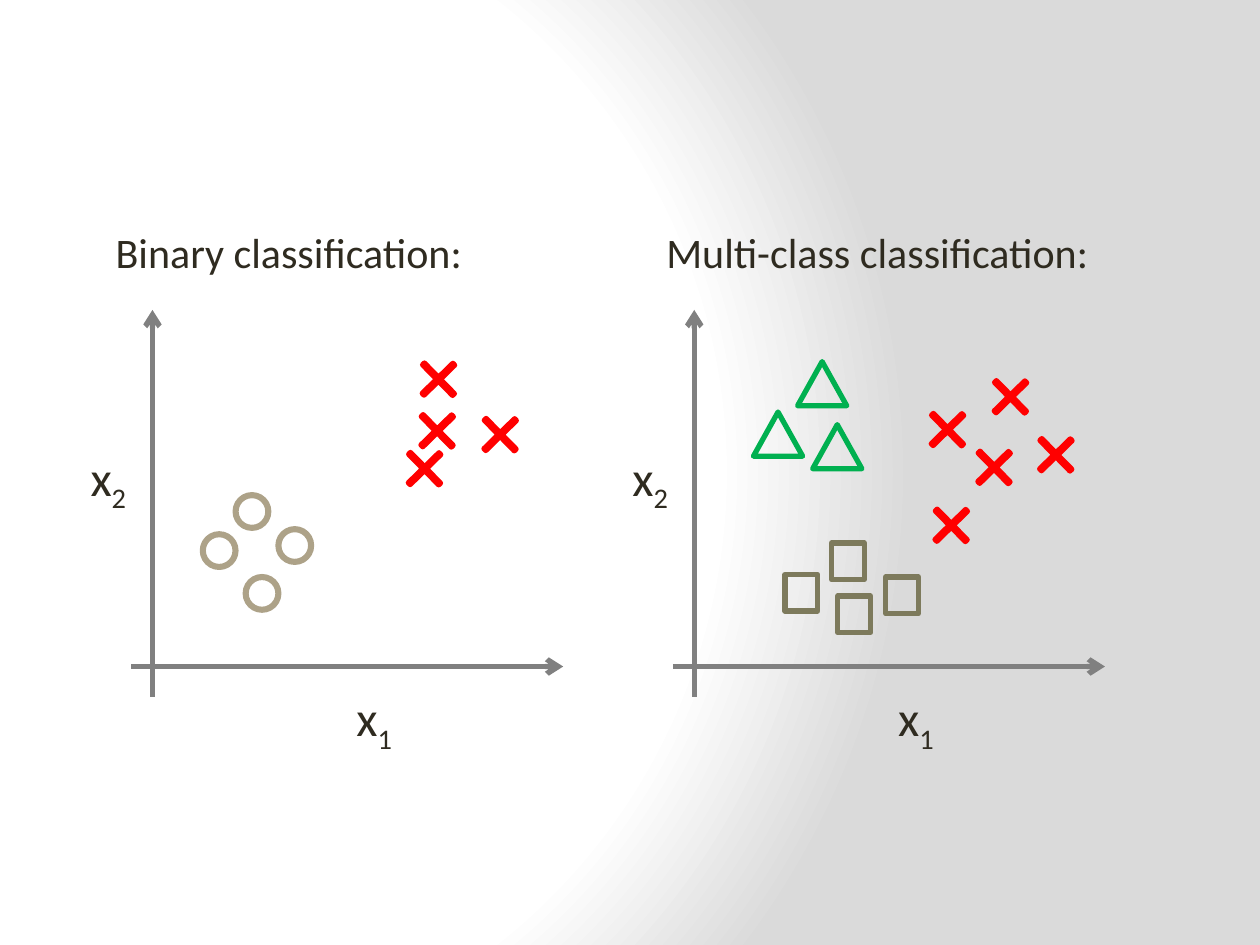
import pptx
import pptx.util
import pptx.oxml
import pptx.oxml.ns
import pptx.dml.color
import pptx.enum.shapes
import pptx.enum.text
from dataclasses import dataclass
from lxml import etree

SHAPE = pptx.enum.shapes.MSO_SHAPE
qn = pptx.oxml.ns.qn


@dataclass(frozen=True)
class Theme:
    font: str = "Calibri"
    text: str = "2F2B20"
    axis: str = "808080"
    circle: str = "ADA288"
    cross: str = "FF0000"
    square: str = "7D7A5C"
    triangle: str = "00B050"
    paper: str = "FFFFFF"
    shade: str = "DADADA"
    heading_size: int = 24
    label_size: int = 28
    line_width: float = 3
    circle_width: float = 3.5


THEME = Theme()
CELL = pptx.util.Inches(0.1)  # the slide is a grid of 100 columns by 75 rows
COLUMNS, ROWS = 100, 75
ORIGIN_ROW = 52.9


def grid(*cells):
    return [round(CELL * cell) for cell in cells]


def color(value):
    return pptx.dml.color.RGBColor.from_string(value)


def set_background(slide):
    slide.background.fill.gradient()
    gradient = next(slide._element.iter(qn("a:gradFill")))
    stops = "".join(
        f'<a:gs pos="{share * 1000}"><a:srgbClr val="{value}"/></a:gs>'
        for share, value in ((0, THEME.paper), (75, THEME.paper), (100, THEME.shade)))
    radial = pptx.oxml.parse_xml(
        f'<a:gradFill {pptx.oxml.ns.nsdecls("a")} rotWithShape="1"><a:gsLst>{stops}</a:gsLst>'
        '<a:path path="circle"><a:fillToRect l="20000" t="50000" r="100000" b="50000"/>'
        '</a:path></a:gradFill>')
    gradient.getparent().replace(gradient, radial)


def add_text(shapes, text, box, size, subscript="", wrap=True):
    text_box = shapes.add_textbox(*grid(*box))
    frame = text_box.text_frame
    frame.word_wrap = wrap
    frame.auto_size = pptx.enum.text.MSO_AUTO_SIZE.SHAPE_TO_FIT_TEXT
    paragraph = frame.paragraphs[0]
    paragraph.add_run().text = text
    if subscript:
        run = paragraph.add_run()
        run.text = subscript
        run.font._element.set("baseline", "-25000")
    paragraph.font.name = THEME.font
    paragraph.font.size = pptx.util.Pt(size)
    paragraph.font.color.rgb = color(THEME.text)


def add_arrow(shapes, start, end):
    arrow = shapes.add_connector(
        pptx.enum.shapes.MSO_CONNECTOR.STRAIGHT, *grid(*start, *end))
    arrow.line.color.rgb = color(THEME.axis)
    arrow.line.width = pptx.util.Pt(THEME.line_width)
    etree.SubElement(arrow.line._get_or_add_ln(), qn("a:tailEnd"), type="arrow")
    etree.SubElement(arrow._element.spPr, qn("a:effectLst"))


def add_axes(shapes, origin):
    """Draw both axes, crossing at the origin column, with their labels."""
    add_arrow(shapes, (origin, 55.3), (origin, 24.6))
    add_arrow(shapes, (origin - 1.7, ORIGIN_ROW), (origin + 32.6, ORIGIN_ROW))
    for subscript, column, row in (("1", 15.2, 54.1), ("2", -5.9, 35)):
        add_text(shapes, "x", (origin + column, row, 5.1, 5.7),
                 THEME.label_size, subscript, wrap=False)


def add_markers(shapes, kind, size, line, places, width=THEME.line_width):
    """Draw one class of samples; places are top left corners."""
    for place in places:
        marker = shapes.add_shape(kind, *grid(*place, *size))
        marker.shadow.inherit = False
        marker.line.color.rgb = color(line)
        marker.line.width = pptx.util.Pt(width)
        if kind == SHAPE.CROSS:
            marker.adjustments[0] = 0.47
            marker.rotation = 45.6
            marker.fill.solid()
            marker.fill.fore_color.rgb = color(THEME.text)
        else:
            marker.fill.background()


def add_crosses(shapes, places):
    add_markers(shapes, SHAPE.CROSS, (3.4, 3.4), THEME.cross, places)


def add_binary_plot(slide):
    shapes = slide.shapes.add_group_shape().shapes
    add_markers(shapes, SHAPE.OVAL, (2.6, 2.6), THEME.circle,
                [(16.1, 42.4), (22.1, 42), (19.5, 45.8), (18.7, 39.3)],
                THEME.circle_width)
    add_crosses(shapes, [(32, 35.5), (33.1, 28.4), (38, 32.8), (33, 32.5)])
    add_axes(shapes, 12.1)


def add_multi_class_plot(slide):
    shapes = slide.shapes
    add_crosses(shapes, [(73.8, 40), (73.5, 32.4), (77.2, 35.4),
                         (78.5, 29.8), (82.1, 34.4)])
    add_axes(shapes, 55.1)
    add_markers(shapes, SHAPE.RECTANGLE, (2.6, 2.9), THEME.square,
                [(66, 43.1), (66.5, 47.3), (70.3, 45.8), (62.3, 45.6)])
    add_markers(shapes, SHAPE.ISOSCELES_TRIANGLE, (3.9, 3.5), THEME.triangle,
                [(63.3, 28.7), (59.8, 32.7), (64.5, 33.7)])


def main():
    presentation = pptx.Presentation()
    presentation.slide_width, presentation.slide_height = grid(COLUMNS, ROWS)
    slide = presentation.slides.add_slide(presentation.slide_layouts[6])
    set_background(slide)

    # Plots
    add_binary_plot(slide)
    add_multi_class_plot(slide)

    # Headings
    for heading, column in (("Binary classification:", 8.2),
                            ("Multi-class classification:", 51.9)):
        add_text(slide.shapes, heading, (column, 17.5, 35.6, 5), THEME.heading_size)

    presentation.save("out.pptx")


if __name__ == "__main__":
    main()
